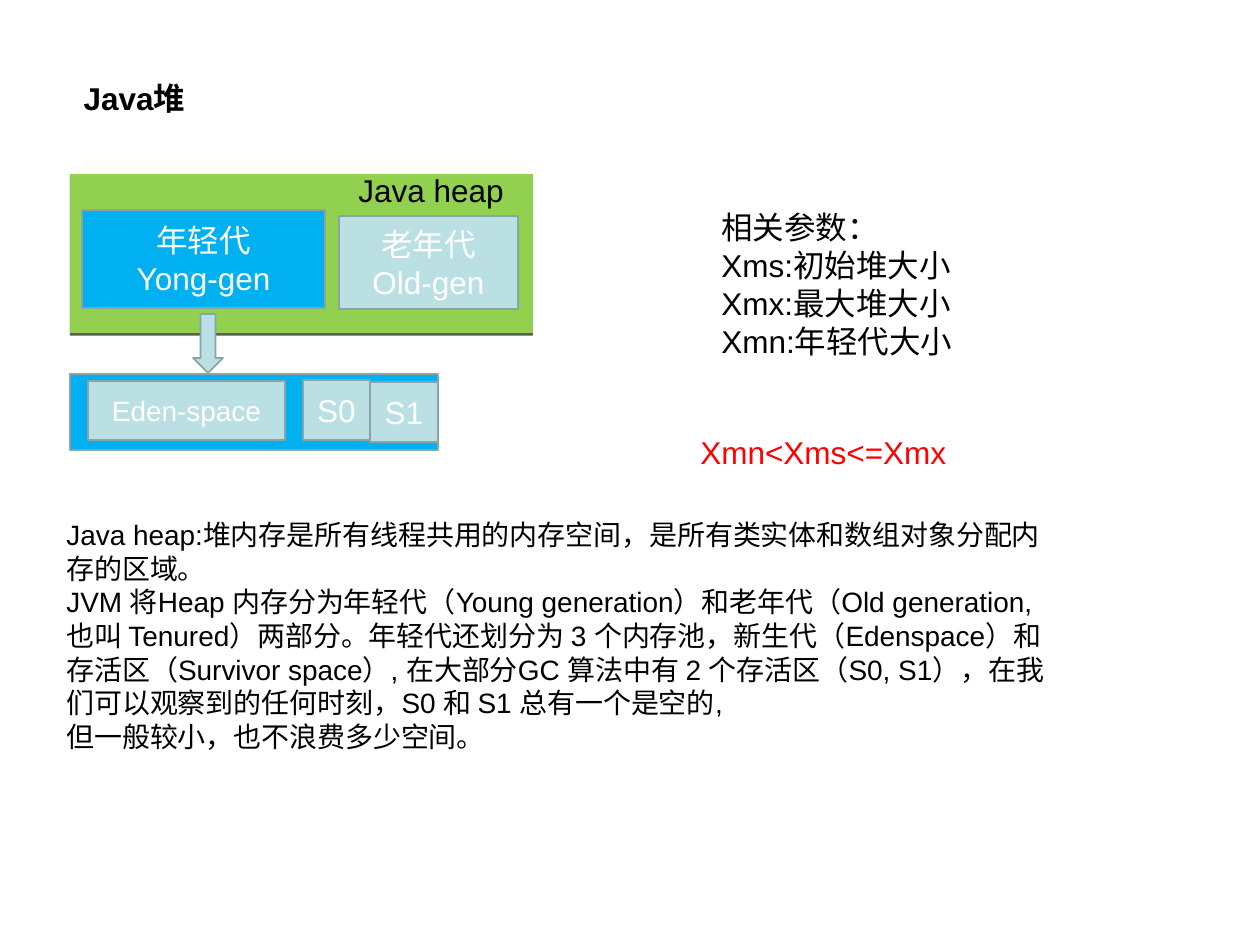
from lxml import etree
from pptx import Presentation
from pptx import util as u
from pptx.dml.color import RGBColor
from pptx.enum import shapes, text
from pptx.oxml import ns

COLORS = {
    "heap": "92D050",
    "young": "00B0F0",
    "pale": "BBE0E3",
    "outline": "89A4A7",
    "black": "000000",
    "white": "FFFFFF",
    "red": "FF0000",
}
PX = u.Inches(1) / 126
LEFT, CENTER = text.PP_ALIGN.LEFT, text.PP_ALIGN.CENTER
TOP, MIDDLE, BOTTOM = (
    text.MSO_ANCHOR.TOP, text.MSO_ANCHOR.MIDDLE, text.MSO_ANCHOR.BOTTOM)


def px(*lengths):
    return [u.Emu(round(length * PX)) for length in lengths]


def color(name):
    return RGBColor.from_string(COLORS[name])


class HeapSlide:
    def __init__(self, presentation):
        self.font = "Arial"
        self.slide = presentation.slides.add_slide(presentation.slide_layouts[5])

    def set_text(self, shape, lines, size=18, ink="black", align=LEFT,
                 anchor=TOP, bold=False, wrap=True):
        frame = shape.text_frame
        frame.text = "\n".join(lines)
        frame.auto_size = text.MSO_AUTO_SIZE.NONE
        frame.word_wrap = wrap
        frame.vertical_anchor = anchor
        for paragraph in frame.paragraphs:
            paragraph.alignment = align
            font = paragraph.font
            font.name, font.size, font.bold = self.font, u.Pt(size), bold
            font.color.rgb = color(ink)

    def title(self, box, line):
        shape = self.slide.shapes.title
        shape.left, shape.top, shape.width, shape.height = px(*box)
        self.set_text(shape, [line], bold=True)

    def label(self, box, *lines, **style):
        self.set_text(self.slide.shapes.add_textbox(*px(*box)), lines, **style)

    def block(self, box, fill, *lines, size=18, outlined=True,
              kind=shapes.MSO_SHAPE.RECTANGLE):
        shape = self.slide.shapes.add_shape(kind, *px(*box))
        shape.shadow.inherit = False
        shape.fill.solid()
        shape.fill.fore_color.rgb = color(fill)
        if outlined:
            shape.line.color.rgb = color("outline")
            shape.line.width = u.Pt(1)
        else:
            shape.line.fill.background()
        if lines:
            self.set_text(shape, lines, size, "white", CENTER, MIDDLE)
        return shape

    def drop_shadow(self, shape):
        effects = shape.element.spPr.find(ns.qn("a:effectLst"))
        shadow = etree.SubElement(
            effects, ns.qn("a:outerShdw"), dist=str(u.Pt(1.5)),
            dir="5400000", rotWithShape="0")
        ink = etree.SubElement(shadow, ns.qn("a:srgbClr"), val=COLORS["black"])
        etree.SubElement(ink, ns.qn("a:alpha"), val="63000")


def main():
    presentation = Presentation()
    presentation.slide_width, presentation.slide_height = px(1260, 945)
    page = HeapSlide(presentation)

    page.title((71, 73, 127, 88), "Java堆")
    page.label(
        (54, 552, 1009, 207),
        "Java heap:堆内存是所有线程共用的内存空间，是所有类实体和数组对象分配内存的区域。",
        "JVM 将Heap 内存分为年轻代（Young generation）和老年代（Old generation, "
        "也叫 Tenured）两部分。年轻代还划分为 3 个内存池，新生代（Edenspace）和存活区"
        "（Survivor space）, 在大部分GC 算法中有 2 个存活区（S0, S1），"
        "在我们可以观察到的任何时刻，S0 和 S1 总有一个是空的,",
        "但一般较小，也不浪费多少空间。",
        size=16, anchor=BOTTOM)

    heap = page.block((70, 174, 463, 159), "heap", outlined=False)
    page.drop_shadow(heap)
    page.label((346, 165, 171, 50), "Java heap")
    page.block((82, 210, 243, 98), "young", "年轻代", "Yong-gen")
    page.block((339, 216, 179, 93), "pale", "老年代", "Old-gen")

    page.block((70, 374, 368, 76), "young")
    page.block((88, 381, 197, 59), "pale", "Eden-space", size=16)
    page.block((303, 380, 67, 60), "pale", "S0")
    page.block((370, 382, 68, 60), "pale", "S1")

    page.label((709, 202, 263, 164), "相关参数：", "Xms:初始堆大小",
               "Xmx:最大堆大小", "Xmn:年轻代大小", wrap=False)
    page.label((688, 427, 271, 50), "Xmn<Xms<=Xmx", ink="red", wrap=False)
    page.block((193, 314, 30, 59), "pale", kind=shapes.MSO_SHAPE.DOWN_ARROW)

    presentation.save("out.pptx")


if __name__ == "__main__":
    main()
